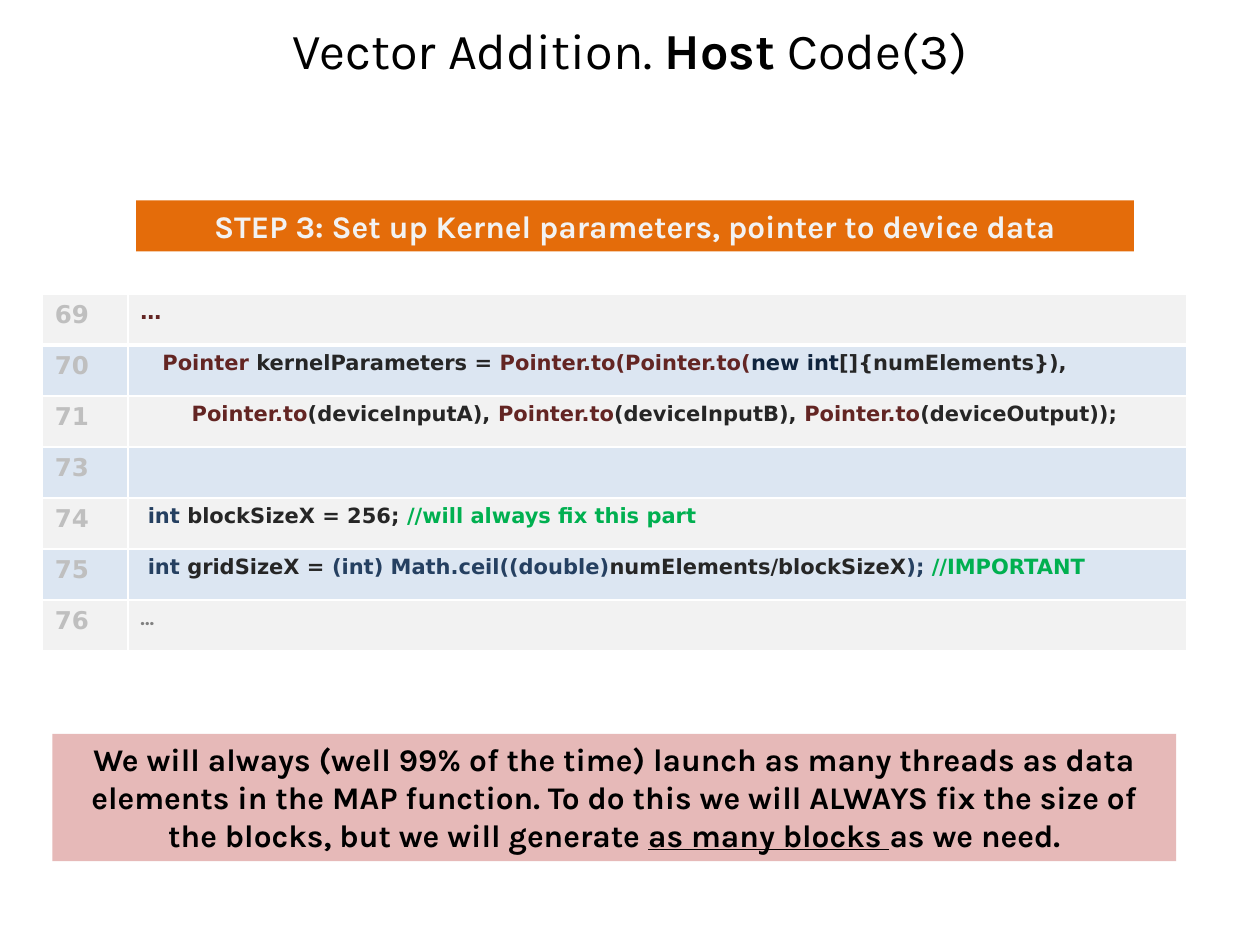
import lxml.etree
import pptx
import pptx.dml.color
import pptx.enum.shapes
import pptx.enum.text
import pptx.oxml.ns
import pptx.util

THEME = {
    "prose": "Karla", "code": "DejaVu Sans",
    "title_size": 28.8, "note_size": 18, "number_size": 14, "code_size": 12,
    "ink": "000000", "line": "FFFFFF", "number": "BFBFBF", "stripes": ("F2F2F2", "DCE6F2"),
    "step": "E46C0A", "step_text": "F2F2F2", "note": "E6B9B8",
    "type": "632523", "plain": "262626", "keyword": "254061", "new": "0F243E",
    "comment": "00B050", "faded": "808080",
}
CENTER = pptx.enum.text.PP_ALIGN.CENTER
MIDDLE = pptx.enum.text.MSO_ANCHOR.MIDDLE


def add_span(para, text, font="prose", size="note_size", color="ink", bold=True, underline=False):
    span = para.add_run()
    span.text = text
    span.font.name = THEME[font]
    span.font.size = pptx.util.Pt(THEME[size])
    span.font.bold = bold
    span.font.underline = underline
    span.font.color.rgb = pptx.dml.color.RGBColor.from_string(THEME[color])


def share(left, top, width, height):
    across, down = deck.slide_width / 100, deck.slide_height / 100
    return int(left * across), int(top * down), int(width * across), int(height * down)


deck = pptx.Presentation()
deck.slide_width = pptx.util.Inches(10)
deck.slide_height = pptx.util.Inches(7.5)
page = deck.slides.add_slide(deck.slide_layouts[6])

title = page.shapes.add_textbox(*share(5, 2.27, 90, 6))
title.text_frame.word_wrap = True
title.text_frame.vertical_anchor = MIDDLE
para = title.text_frame.paragraphs[0]
para.alignment = CENTER
for text, bold in [("Vector Addition. ", False), ("Host", True), (" Code(3)", False)]:
    add_span(para, text, size="title_size", bold=bold)

code_lines = [
    ("69", 0, [("…", "type")]),
    ("70", 3, [("Pointer ", "type"), ("kernelParameters = ", "plain"),
               ("Pointer.to(Pointer.to(", "type"), ("new int", "new"),
               ("[]{numElements}),", "plain")]),
    ("71", 7, [("Pointer.to", "type"), ("(deviceInputA), ", "plain"),
               ("Pointer.to", "type"), ("(deviceInputB), ", "plain"),
               ("Pointer.to", "type"), ("(deviceOutput));", "plain")]),
    ("73", 0, []),
    ("74", 1, [("int ", "keyword"), ("blockSizeX = 256; ", "plain"),
               ("//will always fix this part", "comment")]),
    ("75", 1, [("int ", "keyword"), ("gridSizeX = ", "plain"),
               ("(int) Math.ceil((double)", "keyword"), ("numElements/blockSizeX", "plain"),
               ("); ", "keyword"), ("//IMPORTANT", "comment")]),
    ("76", 0, [("…", "faded")]),
]
indent_step = pptx.util.Pt(4.18)
table = page.shapes.add_table(len(code_lines), 2, *share(3.35, 31.12, 90.8, 37.8)).table
table.first_row = False
table.horz_banding = False
for column, width in zip(table.columns, (6.8, 84)):
    column.width = int(deck.slide_width * width / 100)

for row, (number, depth, spans) in enumerate(code_lines):
    number_cell, code_cell = table.cell(row, 0), table.cell(row, 1)
    for cell in (number_cell, code_cell):
        properties = cell._tc.get_or_add_tcPr()
        for side in "LRTB":
            thick = (row, side) in ((0, "B"), (1, "T"))
            border = lxml.etree.SubElement(properties, pptx.oxml.ns.qn(f"a:ln{side}"))
            border.set("w", str(pptx.util.Pt(3 if thick else 1)))
            fill = lxml.etree.SubElement(border, pptx.oxml.ns.qn("a:solidFill"))
            lxml.etree.SubElement(fill, pptx.oxml.ns.qn("a:srgbClr")).set("val", THEME["line"])
        cell.fill.solid()
        cell.fill.fore_color.rgb = pptx.dml.color.RGBColor.from_string(THEME["stripes"][row % 2])
    add_span(number_cell.text_frame.paragraphs[0], number,
             font="code", size="number_size", color="number")
    para = code_cell.text_frame.paragraphs[0]
    para.font.size = pptx.util.Pt(THEME["code_size"])
    para._p.get_or_add_pPr().set("marL", str(depth * indent_step))
    for text, color in spans:
        add_span(para, text, font="prose" if color == "faded" else "code",
                 size="code_size", color=color)

banners = [
    ((10.8, 21.2, 79.2, 5.39), "step",
     [("STEP 3: Set up Kernel parameters, pointer to device data", "step_text", False)]),
    ((4.15, 77.67, 89.2, 13.46), "note",
     [("We will always (well 99% of the time) launch as many threads as data elements in the "
       "MAP function. To do this we will ALWAYS fix the size of the blocks, but we will "
       "generate ", "ink", False),
      ("as many blocks ", "ink", True), ("as we need.", "ink", False)]),
]
for place, color, spans in banners:
    box = page.shapes.add_shape(pptx.enum.shapes.MSO_SHAPE.RECTANGLE, *share(*place))
    box.shadow.inherit = False
    box.fill.solid()
    box.fill.fore_color.rgb = pptx.dml.color.RGBColor.from_string(THEME[color])
    box.line.fill.background()
    box.text_frame.word_wrap = True
    box.text_frame.auto_size = pptx.enum.text.MSO_AUTO_SIZE.SHAPE_TO_FIT_TEXT
    box.text_frame.vertical_anchor = pptx.enum.text.MSO_ANCHOR.TOP
    para = box.text_frame.paragraphs[0]
    para.alignment = CENTER
    for text, text_color, underline in spans:
        add_span(para, text, color=text_color, underline=underline)

deck.save("out.pptx")
